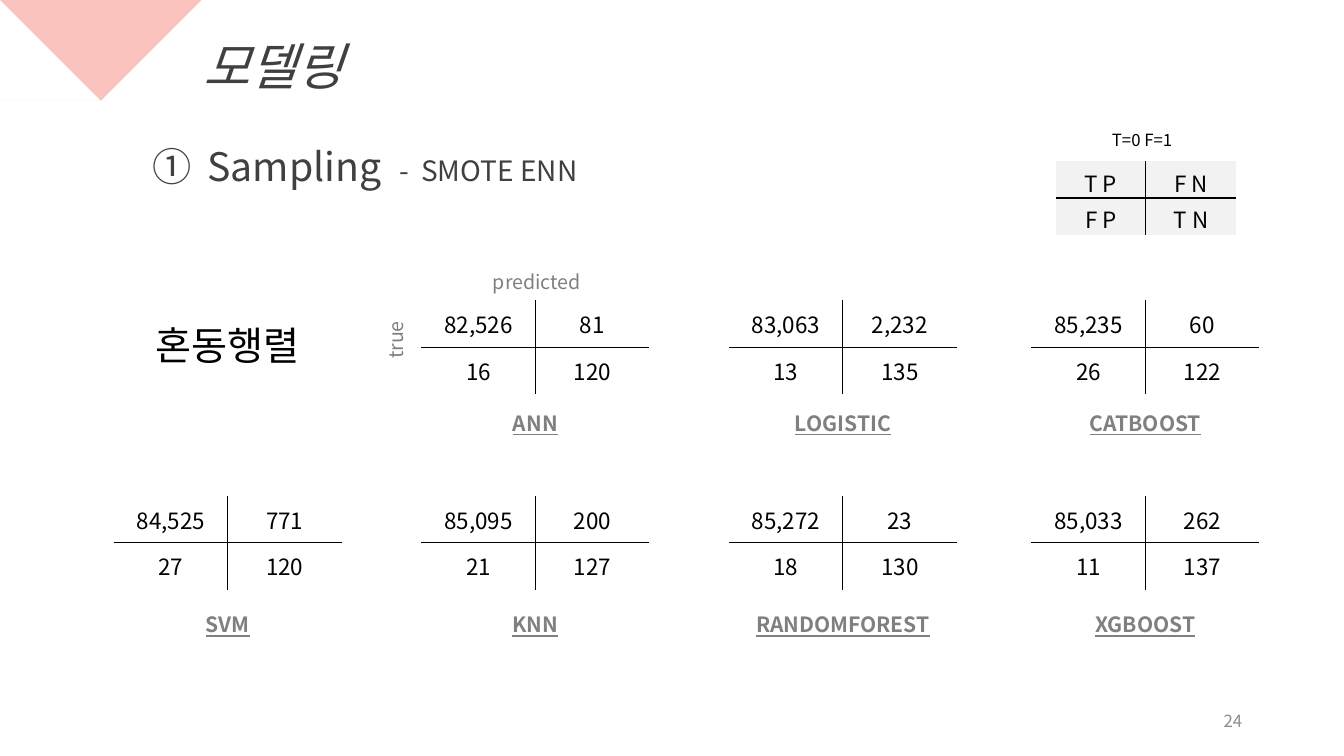
import lxml.etree
import pptx
import pptx.dml.color
import pptx.enum.text
import pptx.oxml
import pptx.oxml.ns
import pptx.util

Inches, Pt = pptx.util.Inches, pptx.util.Pt
Align = pptx.enum.text.PP_ALIGN
Anchor = pptx.enum.text.MSO_ANCHOR
Fit = pptx.enum.text.MSO_AUTO_SIZE
qn = pptx.oxml.ns.qn
PLAIN = "{2D5ABB26-0587-4C30-8999-92F81FD0307C}"


def rgb(code):
    return pptx.dml.color.RGBColor.from_string(code)


def curve(a, b, c, d, steps=16):
    """Points along a cubic curve from a to d, without a itself."""
    points = []
    for i in range(1, steps + 1):
        t = i / steps
        u = 1 - t
        points.append(tuple(
            u**3 * p + 3 * u * u * t * q + 3 * u * t * t * r + t**3 * s
            for p, q, r, s in zip(a, b, c, d)))
    return points


class Page:
    face = "Noto Sans CJK KR"
    black, gray, dark = "000000", "808080", "404040"

    def __init__(self, deck):
        self.slide = deck.slides.add_slide(deck.slide_layouts[6])
        self.shapes = self.slide.shapes

    def style(self, para, size, color, align=None):
        font = para.font
        font.size = Pt(size)
        font.color.rgb = rgb(color)
        font.name = self.face
        lxml.etree.SubElement(font._rPr, qn("a:ea"), typeface=self.face)
        para.alignment = align
        return font

    def text(self, words, box, size, color, align=Align.LEFT, space=None,
             wrap=True):
        shape = self.shapes.add_textbox(*map(Inches, box))
        frame = shape.text_frame
        frame.word_wrap = wrap
        frame.auto_size = Fit.SHAPE_TO_FIT_TEXT
        para = frame.paragraphs[0]
        para.add_run().text = words
        self.style(para, size, color, align)
        if space:
            para.line_spacing = space
        return shape

    def tabs(self, para, stops):
        tabs = lxml.etree.SubElement(
            para._p.get_or_add_pPr(), qn("a:tabLst"))
        for stop in stops:
            lxml.etree.SubElement(
                tabs, qn("a:tab"), pos=str(Inches(stop)), algn="l")

    def border(self, cell, sides):
        props = cell._tc.get_or_add_tcPr()
        for side in sides:
            line = lxml.etree.SubElement(
                props, qn("a:ln" + side), w=str(Pt(1)))
            fill = lxml.etree.SubElement(line, qn("a:solidFill"))
            lxml.etree.SubElement(fill, qn("a:srgbClr"), val=self.black)

    def matrix(self, values, box, fill=None, foot=0.05):
        """Two by two table with only the inner cross drawn."""
        frame = self.shapes.add_table(2, 2, *map(Inches, box))
        table = frame.table
        table.first_row = table.horz_banding = False
        table._tbl.tblPr.find(qn("a:tableStyleId")).text = PLAIN
        for i, value in enumerate(values):
            row, col = divmod(i, 2)
            cell = table.cell(row, col)
            self.border(cell, ("L" if col else "R", "T" if row else "B"))
            if fill:
                cell.fill.solid()
                cell.fill.fore_color.rgb = rgb(fill)
            else:
                cell.fill.background()
            cell.vertical_anchor = Anchor.MIDDLE
            cell.margin_bottom = Inches(foot)
            cell.text = value
            self.style(cell.text_frame.paragraphs[0], 16, self.black,
                       Align.CENTER)

    def corner(self, points, color):
        pen = self.shapes.build_freeform(
            *points[0], scale=float(Inches(1)))
        pen.add_line_segments(points[1:], close=True)
        shape = pen.convert_to_shape()
        shape.shadow.inherit = False
        shape.fill.solid()
        shape.fill.fore_color.rgb = rgb(color)
        shape.line.fill.background()


def main():
    deck = pptx.Presentation()
    deck.slide_width, deck.slide_height = Inches(13.33), Inches(7.5)
    page = Page(deck)

    # Corner shapes
    page.corner(
        [(0, 0), (0.6, 0.6)]
        + curve((0.6, 0.6), (0.68, 0.68), (0.8, 0.73), (0.91, 0.73))
        + curve((0.91, 0.73), (1.02, 0.73), (1.13, 0.68), (1.22, 0.6))
        + [(1.82, 0)], "FAC3BE")
    page.corner(
        [(0, 0.25), (0.41, 0.66)]
        + curve((0.41, 0.66), (0.5, 0.75), (0.54, 0.86), (0.54, 0.98))
        + curve((0.54, 0.98), (0.54, 1.1), (0.5, 1.21), (0.41, 1.3))
        + [(0, 1.71)], "E7E7E7")

    # Confusion matrices with model names
    lefts = (1.13, 4.18, 7.23, 10.23)
    rows = (
        (2.98, 4.02, (
            None,
            ("ANN", "82,526", "81", "16", "120"),
            ("LOGISTIC", "83,063", "2,232", "13", "135"),
            ("CATBOOST", "85,235", "60", "26", "122"))),
        (4.92, 6.02, (
            ("SVM", "84,525", "771", "27", "120"),
            ("KNN", "85,095", "200", "21", "127"),
            ("RANDOMFOREST", "85,272", "23", "18", "130"),
            ("XGBOOST", "85,033", "262", "11", "137"))),
    )
    for top, base, models in rows:
        for left, model in zip(lefts, models):
            if not model:
                continue
            name, *values = model
            page.matrix(values, (left, top, 2.26, 0.93))
            label = page.text(name, (left + 0.09, base, 2.08, 0.35), 15,
                              page.gray, Align.CENTER)
            font = label.text_frame.paragraphs[0].font
            font.bold = font.underline = True

    # Legend
    page.matrix(("T P", "F N", "F P", "T N"), (10.47, 1.6, 1.79, 0.73),
                "F2F2F2", 0)
    page.text("T=0 F=1", (10.93, 1.24, 0.86, 0.3), 12, page.black,
              wrap=False)

    # Row heading and axis names
    page.text("혼동행렬", (0.38, 3.14, 3.76, 0.57), 28, page.black,
              Align.CENTER)
    page.text("predicted", (4.12, 2.51, 1.74, 0.42), 14, page.gray,
              Align.RIGHT, 1.5)
    axis = page.text("true", (3.76, 2.55, 0.44, 1.11), 14, page.gray)
    axis.text_frame._txBody.bodyPr.set("vert", "eaVert")
    axis.rotation = 180

    # Title and subtitle
    title = page.text("모델링", (1.92, 0, 7.76, 0.92), 36, page.dark,
                      space=1.5)
    title.text_frame.paragraphs[0].font.italic = True
    sub = page.shapes.add_textbox(*map(Inches, (1.41, 1.13, 6.42, 0.74)))
    sub.text_frame.word_wrap = True
    para = sub.text_frame.paragraphs[0]
    para.line_spacing = 1.5
    page.tabs(para, (0.55, 2.45, 2.67))
    for words, size in (("①\tSampling", 28), ("\t-\tSMOTE ENN", 20)):
        run = para.add_run()
        run.text = words
        run.font.size = Pt(size)
    page.style(para, 28, page.dark, Align.LEFT)

    # Page number
    number = page.text("24", (9.42, 6.95, 3, 0.4), 12, "8C8C8C",
                       Align.RIGHT)
    number.text_frame.auto_size = Fit.NONE
    number.text_frame.vertical_anchor = Anchor.MIDDLE

    deck.save("out.pptx")


if __name__ == "__main__":
    main()
